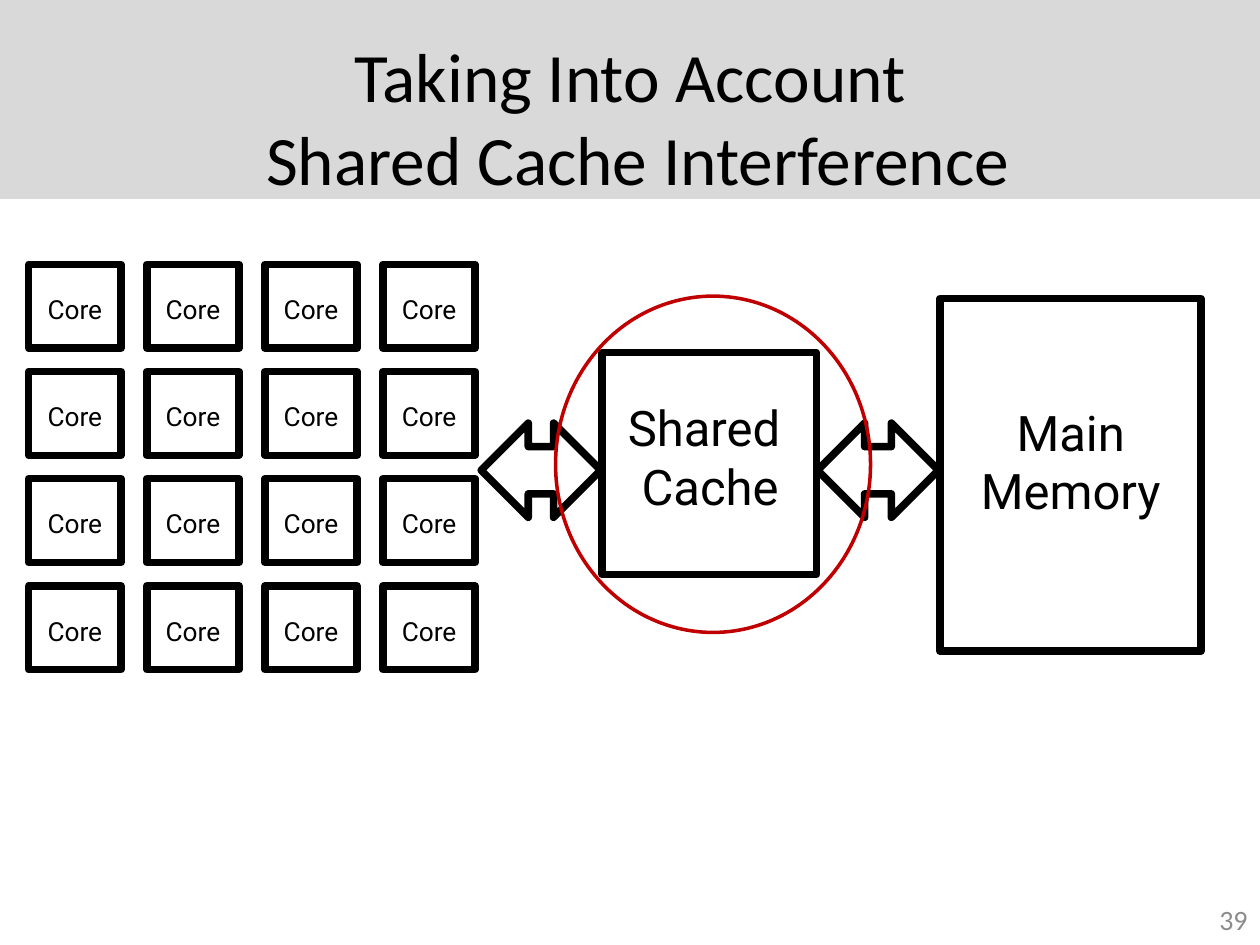
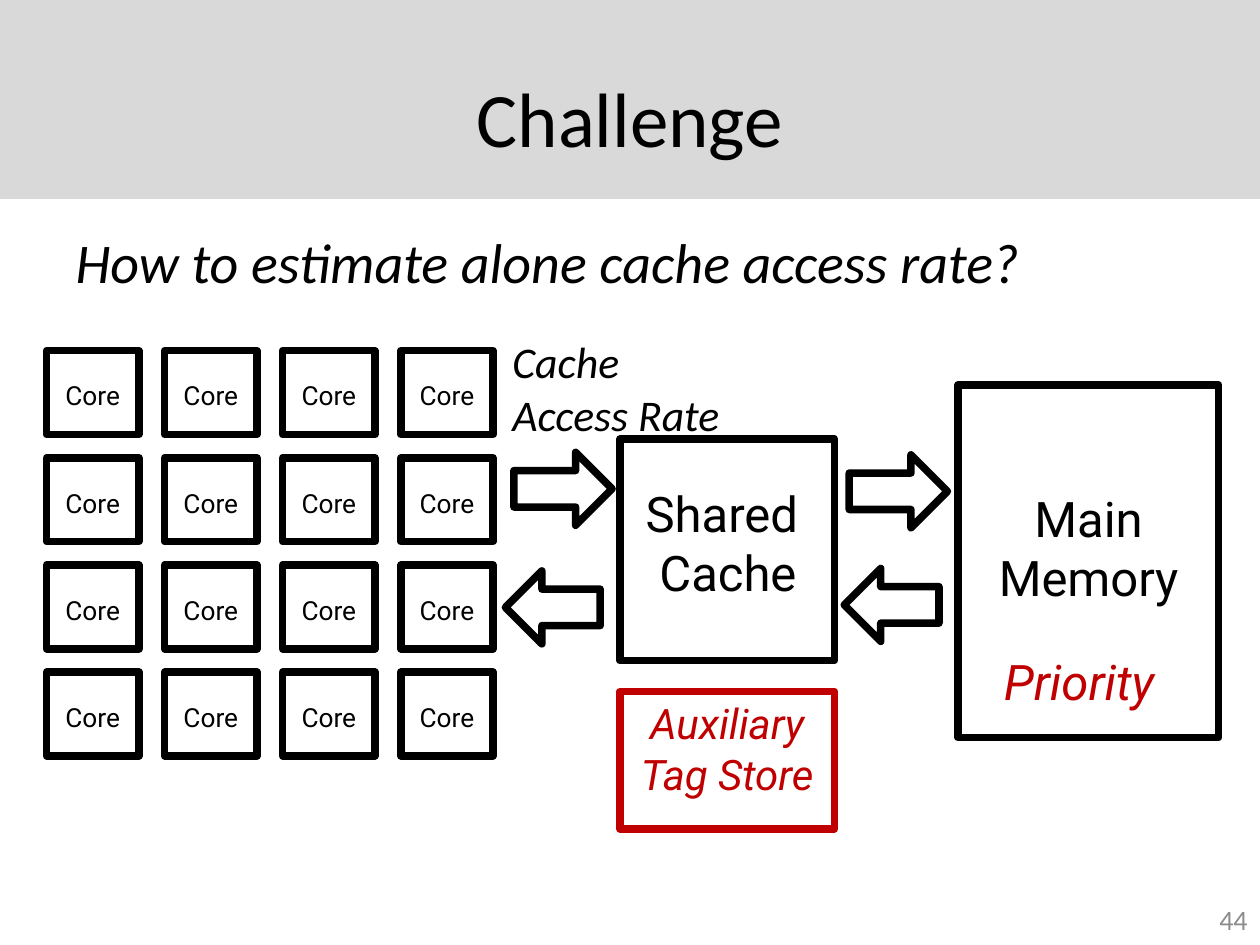
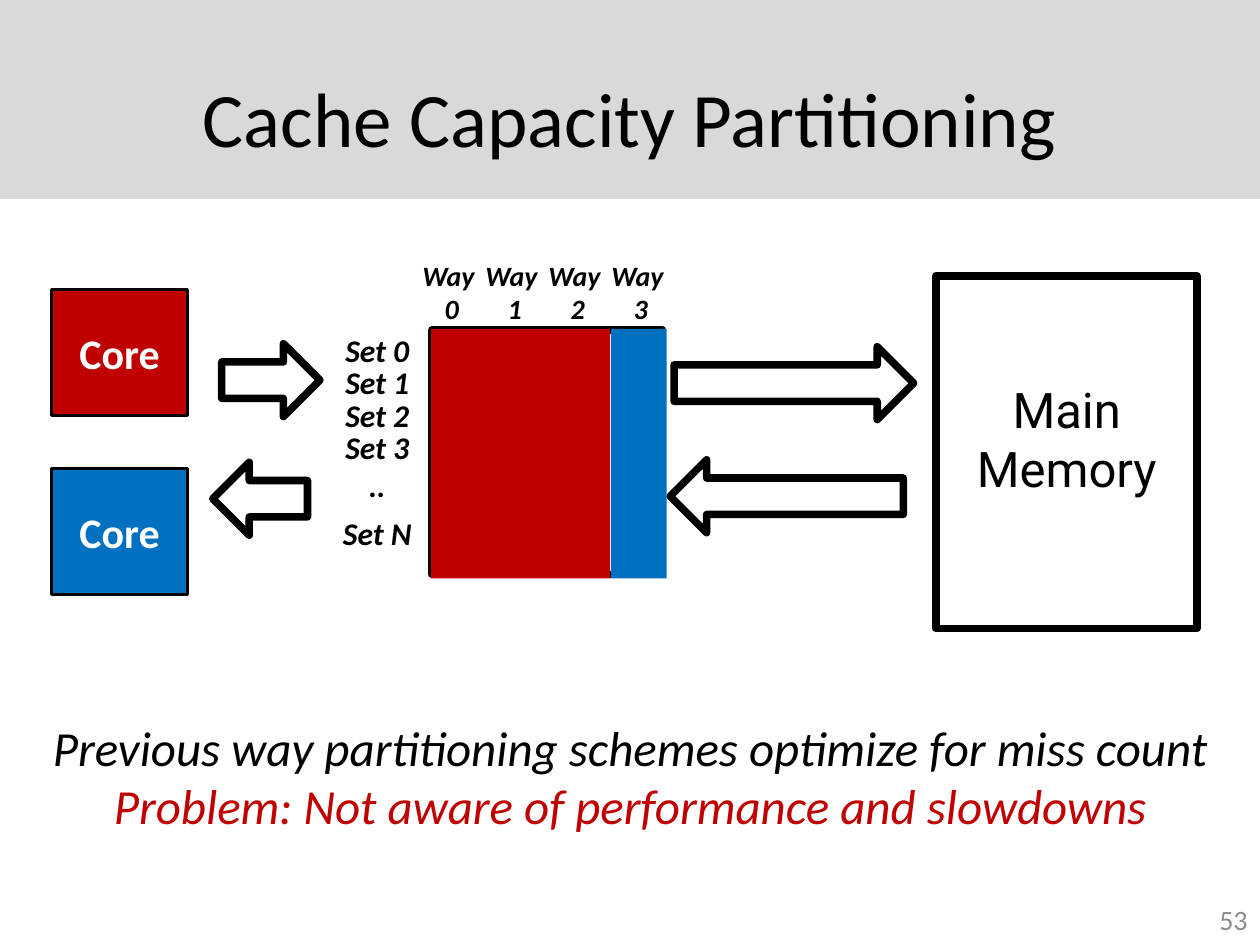
from itertools import product
from pptx import Presentation
from pptx.dml.color import RGBColor
from pptx.enum.shapes import MSO_CONNECTOR, MSO_SHAPE as Shape
from pptx.enum.text import MSO_ANCHOR as Anchor, MSO_AUTO_SIZE as Fit, PP_ALIGN as Align
from pptx.oxml.ns import qn
from pptx.util import Cm, Pt
from lxml.etree import SubElement

COLORS = {"band": "D9D9D9", "ink": "000000", "red": "C00000", "blue": "0070C0",
          "white": "FFFFFF", "page": "8C8C8C"}
SANS, DIAGRAM = "Calibri", "Roboto"
THICK, THIN = 4.32, 2

TITLES = {
    "interference": (["Taking Into Account", " Shared Cache Interference"], 39.6, "39"),
    "challenge": (["Challenge"], 44, "44"),
    "partitioning": (["Cache Capacity Partitioning"], 44, "53"),
}
QUESTION = "How to estimate alone cache access rate?"
SHARED_CACHE = ["Shared ", "Cache"]
ACCESS_RATE = ["Cache", "Access Rate"]
SETS = [["Set 0"], ["Set 1"], ["Set 2"], ["Set 3", ".."]]
LAST_SET = ["Set N"]
WAYS = [["Way ", str(way)] for way in range(4)]
CONCLUSIONS = [("Previous way partitioning schemes optimize for miss count", "ink"),
               ("Problem: Not aware of performance and slowdowns", "red")]

BOTH_WAYS = [(9.7, 8.53, 2.41, 1.9), (16.48, 8.53, 2.44, 1.9)]
CHALLENGE_ARROWS = [
    (Shape.RIGHT_ARROW, (10.36, 9.12, 1.98, 1.47)),
    (Shape.LEFT_ARROW, (10.19, 11.51, 1.91, 1.47)),
    (Shape.RIGHT_ARROW, (17.12, 9.17, 1.98, 1.47)),
    (Shape.LEFT_ARROW, (17.02, 11.46, 1.91, 1.47)),
]
PARTITION_ARROWS = [
    (Shape.RIGHT_ARROW, (4.47, 6.93, 1.98, 1.47)),
    (Shape.LEFT_ARROW, (4.29, 9.32, 1.91, 1.47)),
    (Shape.RIGHT_ARROW, (13.59, 6.99, 4.83, 1.47)),
    (Shape.LEFT_ARROW, (13.51, 9.27, 4.7, 1.47)),
]
PARTITION_CORES = [(5.84, "red"), (9.45, "blue")]
PARTITIONS = [(8.69, 3.61, "red"), (12.32, 1.12, "blue")]


def rgb(color):
    return RGBColor.from_string(COLORS[color])


def cm(*lengths):
    return [Cm(length) for length in lengths]


def write(p, text, size, color="ink", font=SANS, bold=False, italic=False):
    r = p.add_run()
    r.text = text
    r.font.name, r.font.size = font, Pt(size)
    r.font.bold, r.font.italic = bold, italic
    r.font.color.rgb = rgb(color)


def write_lines(tf, lines, align=Align.CENTER, **style):
    for i, line in enumerate(lines):
        p = tf.add_paragraph() if i else tf.paragraphs[0]
        p.alignment = align
        text, color = line if isinstance(line, tuple) else (line, style.get("color", "ink"))
        write(p, text, **{**style, "color": color})


def add_text(s, at, lines, align=Align.CENTER, **style):
    tf = s.shapes.add_textbox(*cm(*at)).text_frame
    tf.word_wrap = True
    tf.auto_size = Fit.SHAPE_TO_FIT_TEXT
    write_lines(tf, lines, align, **style)
    return tf


def add_outline(s, kind, at, fill=None, line="ink", width=THICK):
    sp = s.shapes.add_shape(kind, *cm(*at))
    sp.shadow.inherit = False
    if fill:
        sp.fill.solid()
        sp.fill.fore_color.rgb = rgb(fill)
    else:
        sp.fill.background()
    if line:
        sp.line.color.rgb = rgb(line)
        sp.line.width = Pt(width)
    else:
        sp.line.fill.background()
    return sp


def add_arrows(s, arrows):
    for kind, at in arrows:
        add_outline(s, kind, at)


def add_core_grid(s, dx, dy):
    for row, col in product(range(4), range(4)):
        x, y = 0.58 + dx + 2.38 * col, 5.33 + dy + 2.16 * row
        add_outline(s, Shape.RECTANGLE, (x, y, 1.86, 1.69))
        add_text(s, (x, y + 0.46, 1.86, 0.89), ["Core"], size=15, font=DIAGRAM)


def add_memory(s, x, y):
    add_outline(s, Shape.RECTANGLE, (x, y, 5.26, 7.11))
    add_text(s, (x + 0.08, y + 1.96, 5.11, 2.64), ["Main Memory"], size=28, font=DIAGRAM)


def add_system(s, dx=0, dy=0):
    add_core_grid(s, dx, dy)
    add_memory(s, 18.95 + dx, 6.02 + dy)
    x, y = 12.14 + dx, 7.11 + dy
    add_outline(s, Shape.RECTANGLE, (x, y, 4.32, 4.47))
    add_text(s, (x + 0.08, y + 0.78, 4.19, 2.64), SHARED_CACHE, size=28, font=DIAGRAM)


def add_band(prs, s):
    band = add_outline(s, Shape.RECTANGLE, (0, 0, 25.4, 4.01), fill="band", line=None)
    prs.slide_master.shapes.element.insert(2, band.element)


def new_slide(prs, key, layout=5):
    lines, size, page = TITLES[key]
    s = prs.slides.add_slide(prs.slide_layouts[layout])
    title = s.shapes.title
    title.left, title.top, title.width, title.height = cm(1.27, 0.76, 22.86, 3.18)
    tf = title.text_frame
    tf.vertical_anchor = Anchor.MIDDLE
    p = tf.paragraphs[0]
    p.alignment = Align.CENTER
    for i, line in enumerate(lines):
        if i:
            p.add_line_break()
        write(p, line, size)
    tf = add_text(s, (19.48, 18.03, 5.92, 1.02), [page], Align.RIGHT, size=16, color="page")
    tf.vertical_anchor = Anchor.MIDDLE
    return s


def build_interference(prs):
    s = new_slide(prs, "interference")
    add_band(prs, s)
    add_system(s)
    add_arrows(s, [(Shape.LEFT_RIGHT_ARROW, at) for at in BOTH_WAYS])
    add_outline(s, Shape.OVAL, (11.2, 5.97, 6.35, 6.78), line="red", width=THIN)


def build_challenge(prs):
    s = new_slide(prs, "challenge", layout=1)
    body = s.placeholders[1]
    body.left, body.top, body.width, body.height = cm(1.27, 4.45, 22.86, 12.57)
    p = body.text_frame.paragraphs[0]
    SubElement(p._p.get_or_add_pPr(), qn("a:buNone"))
    write(p, QUESTION, 32, italic=True)
    add_system(s, 0.36, 1.74)
    add_arrows(s, CHALLENGE_ARROWS)
    add_text(s, (10.08, 6.63, 5.51, 2.39), ACCESS_RATE, Align.LEFT, size=25, italic=True)
    store = add_outline(s, Shape.RECTANGLE, (12.5, 13.94, 4.32, 2.77), line="red")
    store.text_frame.word_wrap = True
    store.text_frame.vertical_anchor = Anchor.TOP
    accent = {"font": DIAGRAM, "color": "red", "italic": True}
    write_lines(store.text_frame, ["Auxiliary Tag Store"], size=24, **accent)
    add_text(s, (19.99, 13, 4.24, 1.45), ["Priority"], Align.LEFT, size=28, **accent)


def build_partitioning(prs):
    s = new_slide(prs, "partitioning")
    add_memory(s, 18.87, 5.56)
    add_arrows(s, PARTITION_ARROWS)
    for y, color in PARTITION_CORES:
        core = add_outline(s, Shape.RECTANGLE, (1.04, y, 2.74, 2.54), fill=color, width=THIN)
        core.text_frame.vertical_anchor = Anchor.MIDDLE
        write_lines(core.text_frame, ["Core"], size=24, color="white", bold=True)
    add_outline(s, Shape.RECTANGLE, (8.71, 6.65, 4.65, 4.93))
    divider = s.shapes.add_connector(MSO_CONNECTOR.STRAIGHT, *cm(12.27, 6.73, 12.27, 11.63))
    divider.line.color.rgb = rgb("ink")
    divider.line.width = Pt(THIN)
    SubElement(divider.element.spPr, qn("a:effectLst"))
    label = {"bold": True, "italic": True}
    for i, way in enumerate(WAYS):
        add_text(s, (8.05 + 1.27 * i, 5.08, 2.11, 1.63), way, size=16, **label)
    for i, lines in enumerate(SETS):
        add_text(s, (6.55, 6.55 + 0.65 * i, 2.11, 1.02 * len(lines)), lines, size=18, **label)
    add_text(s, (6.55, 10.24, 2.11, 1.02), LAST_SET, size=18, **label)
    for x, width, color in PARTITIONS:
        add_outline(s, Shape.RECTANGLE, (x, 6.63, width, 5.03), fill=color, line=None)
    add_text(s, (0, 14.33, 25.4, 2.64), CONCLUSIONS, size=28, italic=True)


def main():
    prs = Presentation()
    prs.slide_width, prs.slide_height = cm(25.4, 19.05)
    build_interference(prs)
    build_challenge(prs)
    build_partitioning(prs)
    prs.save("out.pptx")


if __name__ == "__main__":
    main()
